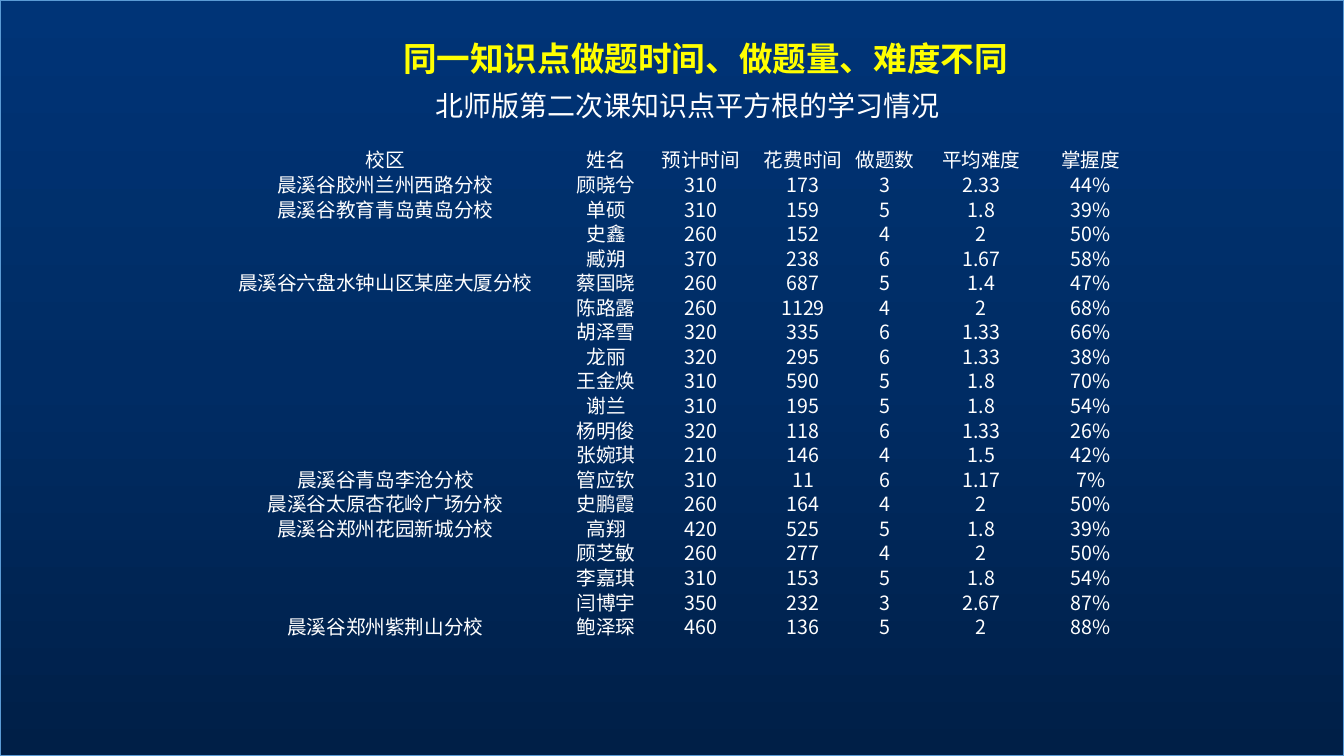
import copy
import pptx
import pptx.util
import pptx.dml.color
import pptx.enum.shapes
import pptx.enum.text
import pptx.oxml.ns
import lxml.etree

Pt = pptx.util.Pt
RGB = pptx.dml.color.RGBColor.from_string
qn = pptx.oxml.ns.qn

title = "同一知识点做题时间、做题量、难度不同"
lead = "北师版第二次课知识点平方根的学习情况"
heads = ("校区", "姓名", "预计时间", "花费时间", "做题数", "平均难度", "掌握度")
schools = [
    ("晨溪谷胶州兰州西路分校", [("顾晓兮", "310", "173", "3", "2.33", "44%")]),
    ("晨溪谷教育青岛黄岛分校", [
        ("单硕", "310", "159", "5", "1.8", "39%"),
        ("史鑫", "260", "152", "4", "2", "50%"),
        ("臧朔", "370", "238", "6", "1.67", "58%"),
    ]),
    ("晨溪谷六盘水钟山区某座大厦分校", [
        ("蔡国晓", "260", "687", "5", "1.4", "47%"),
        ("陈路露", "260", "1129", "4", "2", "68%"),
        ("胡泽雪", "320", "335", "6", "1.33", "66%"),
        ("龙丽", "320", "295", "6", "1.33", "38%"),
        ("王金焕", "310", "590", "5", "1.8", "70%"),
        ("谢兰", "310", "195", "5", "1.8", "54%"),
        ("杨明俊", "320", "118", "6", "1.33", "26%"),
        ("张婉琪", "210", "146", "4", "1.5", "42%"),
    ]),
    ("晨溪谷青岛李沧分校", [("管应钦", "310", "11", "6", "1.17", "7%")]),
    ("晨溪谷太原杏花岭广场分校", [("史鹏霞", "260", "164", "4", "2", "50%")]),
    ("晨溪谷郑州花园新城分校", [
        ("高翔", "420", "525", "5", "1.8", "39%"),
        ("顾芝敏", "260", "277", "4", "2", "50%"),
        ("李嘉琪", "310", "153", "5", "1.8", "54%"),
        ("闫博宇", "350", "232", "3", "2.67", "87%"),
    ]),
    ("晨溪谷郑州紫荆山分校", [("鲍泽琛", "460", "136", "5", "2", "88%")]),
]

theme = {
    "font": "Noto Sans CJK SC",
    "white": "FFFFFF", "gold": "FFFF00", "edge": "5B9BD5",
    "shade": ((0, "001F47"), (0.5, "002C64"), (1, "003477")),
    "title": 24, "lead": 20, "cell": 14,
}
wide, high = 960, 540
widths = (252.7, 62.6, 72.7, 73.4, 43.9, 93.6, 62.6)
left, top, pitch = 149, 106.5, 17.57
plain = "{2D5ABB26-0587-4C30-8999-92F81FD0307C}"


def write(para, text, size, color, bold=False):
    run = para.add_run()
    run.text = text
    font = run.font
    font.name, font.size, font.bold = theme["font"], Pt(size), bold
    font.color.rgb = RGB(color)
    east = lxml.etree.Element(qn("a:ea"), typeface=theme["font"])
    font._element.find(qn("a:latin")).addnext(east)


def label(slide, box, text, size, color, bold=False):
    frame = slide.shapes.add_textbox(*map(Pt, box)).text_frame
    frame.word_wrap = False
    write(frame.paragraphs[0], text, size, color, bold)


def ground(slide):
    pane = slide.shapes.add_shape(
        pptx.enum.shapes.MSO_SHAPE.RECTANGLE, 0, 0, Pt(wide), Pt(high))
    pane.shadow.inherit = False
    pane.line.color.rgb = RGB(theme["edge"])
    pane.line.width = Pt(1)
    fill = pane.fill
    fill.gradient()
    fill.gradient_angle = 90
    first = pane._element.spPr.find(".//" + qn("a:gs"))
    first.addnext(copy.deepcopy(first))
    for stop, (place, color) in zip(fill.gradient_stops, theme["shade"]):
        stop.position = place
        stop.color.rgb = RGB(color)


def grid(slide):
    rows = [heads]
    for school, pupils in schools:
        for rank, pupil in enumerate(pupils):
            rows.append(("" if rank else school, *pupil))
    frame = slide.shapes.add_table(
        len(rows), len(heads), Pt(left), Pt(top),
        Pt(sum(widths)), Pt(pitch * len(rows)))
    table = frame.table
    table.first_row = table.horz_banding = False
    table._tbl.tblPr.find(qn("a:tableStyleId")).text = plain
    for col, width in zip(table.columns, widths):
        col.width = Pt(width)
    for row, texts in zip(table.rows, rows):
        row.height = Pt(pitch)
        for cell, text in zip(row.cells, texts):
            cell.fill.background()
            cell.margin_left = cell.margin_right = cell.margin_top = Pt(0.7)
            cell.margin_bottom = 0
            cell.vertical_anchor = pptx.enum.text.MSO_ANCHOR.MIDDLE
            para = cell.text_frame.paragraphs[0]
            para.alignment = pptx.enum.text.PP_ALIGN.CENTER
            para.line_spacing = Pt(16.8)
            if text:
                write(para, text, theme["cell"], theme["white"])
            else:
                lxml.etree.SubElement(
                    para._p, qn("a:endParaRPr"), sz=str(theme["cell"] * 100))


def main():
    deck = pptx.Presentation()
    deck.slide_width, deck.slide_height = Pt(wide), Pt(high)
    slide = deck.slides.add_slide(deck.slide_layouts[6])
    ground(slide)
    label(slide, (303.8, 59.8, 386.6, 31.7), lead, theme["lead"], theme["white"])
    grid(slide)
    label(slide, (280.8, 23.8, 467.3, 36), title, theme["title"], theme["gold"], True)
    deck.save("out.pptx")


if __name__ == "__main__":
    main()
